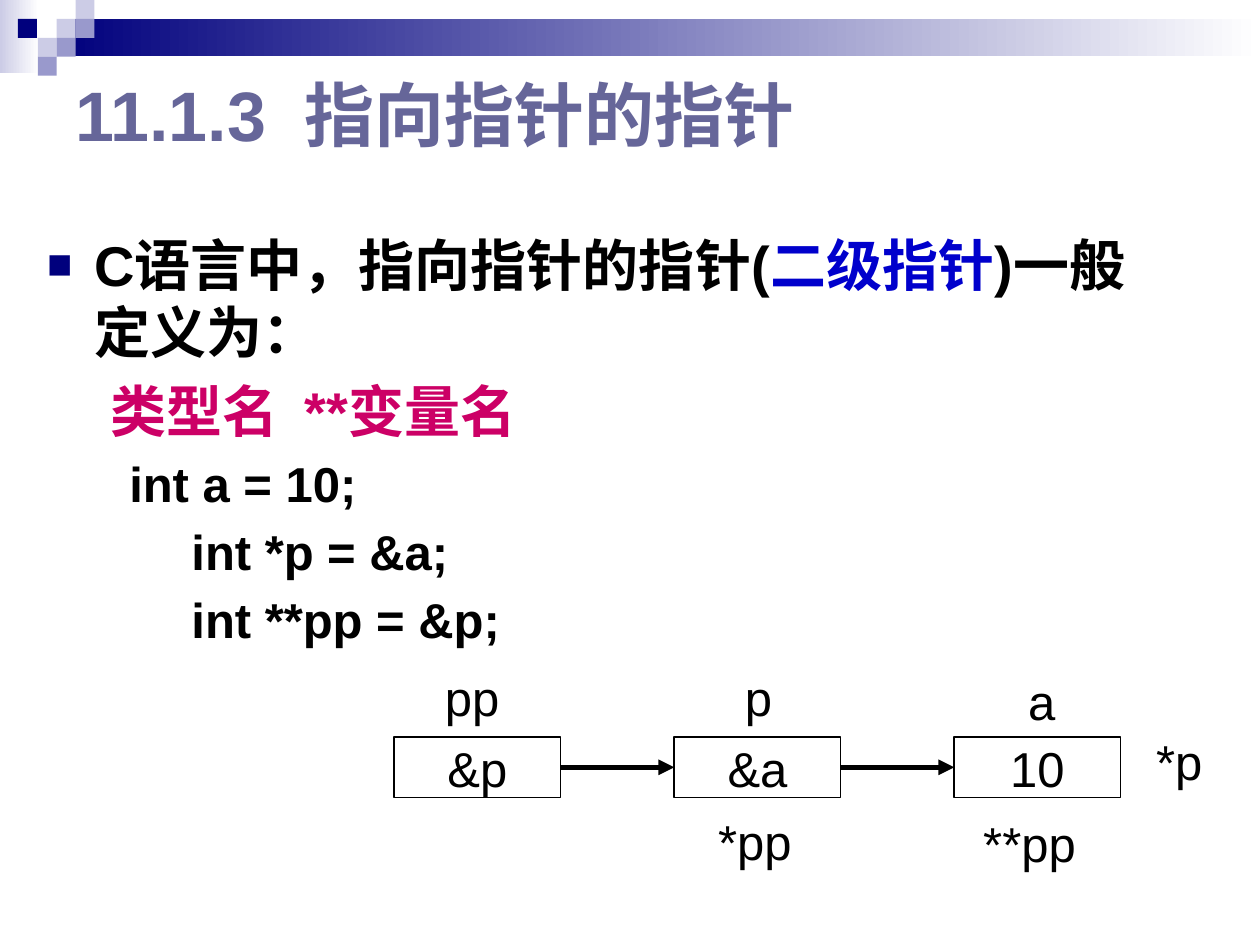
from pptx import Presentation
from pptx.dml.color import RGBColor
from pptx.enum.shapes import MSO_CONNECTOR, MSO_SHAPE
from pptx.enum.text import MSO_ANCHOR, PP_ALIGN
from pptx.oxml.ns import qn
from pptx.util import Pt
from lxml.etree import SubElement

FONT = "Arial"
BLACK, NAVY, LAVENDER, LILAC = "000000", "00007D", "CCCCE6", "9999CC"


def color(value):
    return RGBColor.from_string(value)


def add_rectangle(slide, left, top, width, height):
    shape = slide.shapes.add_shape(
        MSO_SHAPE.RECTANGLE, Pt(left), Pt(top), Pt(width), Pt(height))
    shape.shadow.inherit = False
    return shape


def add_run(paragraph, text, size, value=BLACK, bold=False):
    run = paragraph.add_run()
    run.text = text
    run.font.name = FONT
    run.font.size = Pt(size)
    run.font.bold = bold
    run.font.color.rgb = color(value)


def add_text_box(slide, left, top, width, height, wrap=True):
    frame = slide.shapes.add_textbox(
        Pt(left), Pt(top), Pt(width), Pt(height)).text_frame
    frame.word_wrap = wrap
    return frame


def add_banner(slide, left, top, width):
    # Gradient bands
    for x, y, w, h, start in (
        (0, 0, 22.3, 41.8, LAVENDER),
        (32.4, 10.8, width - 32.4, 21.4, NAVY),
    ):
        band = add_rectangle(slide, left + x, top + y, w, h)
        band.line.fill.background()
        band.fill.gradient()
        band.fill.gradient_angle = 0
        for position, value in enumerate((start, "FFFFFF")):
            stop = band.fill.gradient_stops[position]
            stop.color.rgb = color(value)
            stop.position = position

    # Checkered squares, by column and row
    side = 10.8
    for column, row, value in (
        (3, 1, LAVENDER), (4, 0, LAVENDER), (4, 1, LILAC), (2, 2, LAVENDER),
        (0.95, 1, NAVY), (3, 2, LILAC), (2, 3, LILAC),
    ):
        square = add_rectangle(
            slide, left + column * side, top + row * side, side, side)
        square.fill.solid()
        square.fill.fore_color.rgb = color(value)
        square.line.fill.background()


def add_title(slide, left, top, width, height):
    frame = add_text_box(slide, left, top, width, height)
    frame.vertical_anchor = MSO_ANCHOR.MIDDLE
    add_run(frame.paragraphs[0], "11.1.3  指向指针的指针", 40, "666699", True)


def add_square_bullet(properties):
    bullet_color = SubElement(properties, qn("a:buClr"))
    SubElement(bullet_color, qn("a:srgbClr"), val=NAVY)
    SubElement(properties, qn("a:buSzPct"), val="75000")
    SubElement(properties, qn("a:buFont"), typeface=FONT)
    SubElement(properties, qn("a:buChar"), char="■")


def add_body(slide, left, top, width, height):
    frame = add_text_box(slide, left, top, width, height)
    # Left margin, size, space before, runs
    lines = (
        (27, 32, 7.4, (("C语言中，指向指针的指针(", BLACK),
                       ("二级指针", "0000CC"), (")一般定义为：", BLACK))),
        (36.5, 32, 7, (("类型名  **变量名", "CC0066"),)),
        (47, 28, 5.2, (("int a = 10;", BLACK),)),
        (82.5, 28, 5.2, (("int *p = &a;", BLACK),)),
        (82.5, 28, 5.2, (("int **pp = &p;", BLACK),)),
    )
    for index, (margin, size, space, runs) in enumerate(lines):
        paragraph = frame.add_paragraph() if index else frame.paragraphs[0]
        paragraph.space_before = Pt(space)
        properties = paragraph._p.get_or_add_pPr()
        properties.set("marL", str(Pt(margin)))
        if index == 0:
            properties.set("indent", str(-Pt(margin)))
            add_square_bullet(properties)
        for text, value in runs:
            add_run(paragraph, text, size, value, True)


def add_label(slide, text, center, top, width):
    frame = add_text_box(slide, center - width / 2, top, width, 41, wrap=False)
    frame.paragraphs[0].alignment = PP_ALIGN.CENTER
    add_run(frame.paragraphs[0], text, 28)


def add_cell(slide, text, left, top, width, height):
    cell = add_rectangle(slide, left, top, width, height)
    cell.fill.background()
    cell.line.color.rgb = color(BLACK)
    cell.line.width = Pt(1)
    frame = cell.text_frame
    frame.word_wrap = False
    frame.vertical_anchor = MSO_ANCHOR.MIDDLE
    frame.paragraphs[0].alignment = PP_ALIGN.CENTER
    add_run(frame.paragraphs[0], text, 28)
    return cell


def add_arrow(slide, source, target):
    arrow = slide.shapes.add_connector(MSO_CONNECTOR.STRAIGHT, 0, 0, 0, 0)
    arrow.begin_connect(source, 3)
    arrow.end_connect(target, 1)
    arrow.line.color.rgb = color(BLACK)
    arrow.line.width = Pt(3)
    SubElement(arrow.line._get_or_add_ln(), qn("a:tailEnd"), type="triangle")
    SubElement(arrow._element.spPr, qn("a:effectLst"))


def add_pointer_diagram(slide, left, top, width, height):
    cell_width, cell_height, cell_top = 95, 34.6, top + 43.2
    pitch = (width - cell_width) / 2

    # Variables joined by arrows
    cells = [add_cell(slide, text, left + index * pitch, cell_top,
                      cell_width, cell_height)
             for index, text in enumerate(("&p", "&a", "10"))]
    for source, target in zip(cells, cells[1:]):
        add_arrow(slide, source, target)

    # Names above, below and beside: text, center, top, width
    middle = left + cell_width / 2
    bottom = top + height - 41
    for label in (
        ("pp", middle - 3, top, 50),
        ("p", middle + pitch + 0.7, top, 34),
        ("a", middle + 2 * pitch + 2.5, top + 2, 34),
        ("*pp", middle + pitch - 1.5, bottom - 1.5, 62),
        ("**pp", middle + 2 * pitch - 4.5, bottom, 73),
        ("*p", left + width + 33.5, top + 36.5, 46),
    ):
        add_label(slide, *label)


def main():
    presentation = Presentation()
    presentation.slide_width = Pt(720)
    presentation.slide_height = Pt(540)
    slide = presentation.slides.add_slide(presentation.slide_layouts[6])
    add_banner(slide, 0, 0, 720)
    add_title(slide, 36, 36, 511, 58)
    add_body(slide, 19.8, 128, 646.6, 351)
    add_pointer_diagram(slide, 225.3, 378, 415, 124.5)
    presentation.save("out.pptx")


if __name__ == "__main__":
    main()
